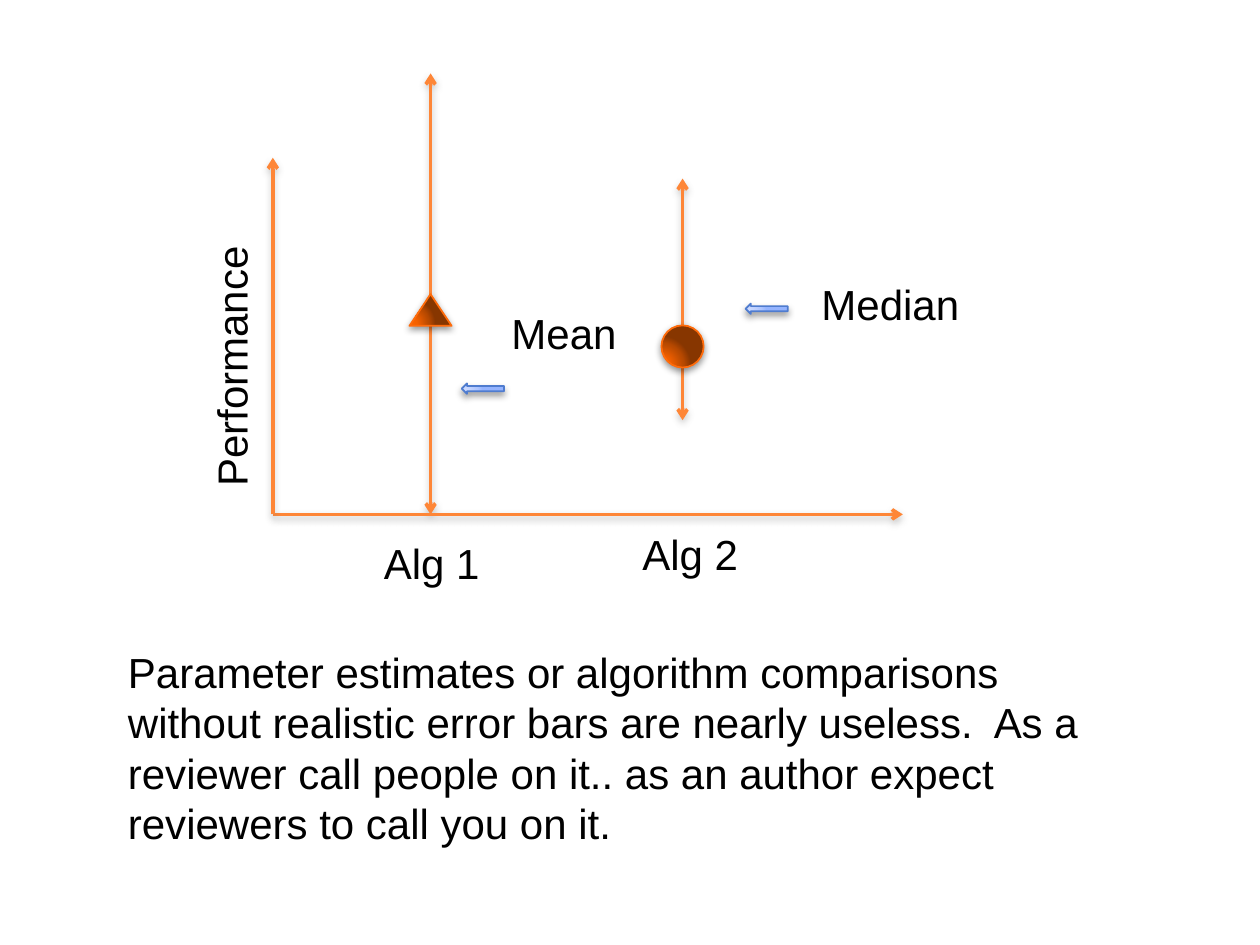
from dataclasses import dataclass

from lxml.etree import SubElement
from pptx import Presentation
from pptx.dml.color import RGBColor
from pptx.enum.shapes import MSO_CONNECTOR, MSO_SHAPE
from pptx.enum.text import MSO_AUTO_SIZE
from pptx.oxml.ns import qn
from pptx.util import Cm, Pt


@dataclass(frozen=True)
class Theme:
    font: str = "Arial"
    text_size: int = 24
    text: str = "000000"
    axis: str = "FE8637"
    axis_width: float = 2
    outline_width: float = 1
    marker_line: str = "FF6B0A"
    marker_fill: tuple = ("FD6400", "F46100", "B74900", "873600")
    pointer_line: str = "4F7CCF"
    pointer_fill: tuple = ("CFDCFF", "CBD9FF", "AFC6FF", "95B4FF")
    gradient_stops: tuple = (0, 30, 75, 100)
    # Shadows: colour, opacity in percent, blur and distance in points
    soft_shadow: tuple = ("808080", 40, 4, 2)
    pointer_shadow: tuple = ("000000", 40, 4, 2)
    marker_shadow: tuple = ("000000", 42, 4, 1.6)


THEME = Theme()


def add_child(parent, tag, **attributes):
    return SubElement(parent, qn(tag), {name: str(value) for name, value in attributes.items()})


def set_shadow(shape, shadow):
    """Cast a blurred shadow straight down."""
    color, opacity, blur, distance = shadow
    effects = add_child(shape._element.spPr, "a:effectLst")
    outer = add_child(effects, "a:outerShdw", blurRad=int(Pt(blur)), dist=int(Pt(distance)),
                      dir=5400000, rotWithShape=0)
    shadow_color = add_child(outer, "a:srgbClr", val=color)
    add_child(shadow_color, "a:alpha", val=opacity * 1000)


def set_radial_fill(shape, colors):
    """Fill the shape with a circular gradient centred near its lower left."""
    shape.fill.background()
    plain = shape._element.spPr.find(qn("a:noFill"))
    gradient = plain.makeelement(qn("a:gradFill"), {"rotWithShape": "1"})
    plain.getparent().replace(plain, gradient)
    stops = add_child(gradient, "a:gsLst")
    for position, color in zip(THEME.gradient_stops, colors):
        stop = add_child(stops, "a:gs", pos=position * 1000)
        add_child(stop, "a:srgbClr", val=color)
    path = add_child(gradient, "a:path", path="circle")
    add_child(path, "a:fillToRect", l=5000, t=100000, r=120000, b=10000)


def add_arrow(slide, start, end, both_ends=False):
    connector = slide.shapes.add_connector(
        MSO_CONNECTOR.STRAIGHT, *(Cm(value) for value in start + end))
    connector.line.color.rgb = RGBColor.from_string(THEME.axis)
    connector.line.width = Pt(THEME.axis_width)
    line = connector.line._get_or_add_ln()
    if both_ends:
        add_child(line, "a:headEnd", type="arrow")
    add_child(line, "a:tailEnd", type="arrow")
    set_shadow(connector, THEME.soft_shadow)


def add_gradient_shape(slide, kind, box, colors, outline, shadow):
    shape = slide.shapes.add_shape(kind, *(Cm(value) for value in box))
    set_radial_fill(shape, colors)
    shape.line.color.rgb = RGBColor.from_string(outline)
    shape.line.width = Pt(THEME.outline_width)
    set_shadow(shape, shadow)


def add_marker(slide, kind, box):
    add_gradient_shape(slide, kind, box, THEME.marker_fill, THEME.marker_line,
                       THEME.marker_shadow)


def add_pointer(slide, left, top):
    add_gradient_shape(slide, MSO_SHAPE.LEFT_ARROW, (left, top, 0.85, 0.21),
                       THEME.pointer_fill, THEME.pointer_line, THEME.pointer_shadow)


def add_text(slide, text, box, wrap=False, rotation=0):
    shape = slide.shapes.add_textbox(*(Cm(value) for value in box))
    shape.rotation = rotation
    shape.text_frame.word_wrap = wrap
    shape.text_frame.auto_size = MSO_AUTO_SIZE.SHAPE_TO_FIT_TEXT
    paragraph = shape.text_frame.paragraphs[0]
    paragraph.text = text
    paragraph.font.name = THEME.font
    paragraph.font.size = Pt(THEME.text_size)
    paragraph.font.color.rgb = RGBColor.from_string(THEME.text)


def main():
    presentation = Presentation()
    presentation.slide_width, presentation.slide_height = Cm(25.4), Cm(19.05)
    slide = presentation.slides.add_slide(presentation.slide_layouts[6])

    # Error bars
    origin = (5.5, 10.37)
    first_x, second_x = 8.68, 13.76
    add_arrow(slide, (first_x, 1.48), (first_x, origin[1]), both_ends=True)
    add_arrow(slide, (second_x, 3.6), (second_x, 8.47), both_ends=True)

    # Conclusion
    add_text(slide, "Parameter estimates or algorithm comparisons without realistic error bars "
             "are nearly useless.  As a reviewer call people on it.. as an author expect "
             "reviewers to call you on it.", (2.33, 12.91, 20.52, 4.37), wrap=True)

    # Axes
    add_arrow(slide, origin, (18.2, origin[1]))
    add_arrow(slide, origin, (origin[0], 3.18))

    # Markers centred on the error bars
    size = 0.85
    add_marker(slide, MSO_SHAPE.ISOSCELES_TRIANGLE, (first_x - size / 2, 5.93, size, 0.64))
    add_marker(slide, MSO_SHAPE.OVAL, (second_x - size / 2, 6.56, size, size))

    # Pointers and labels
    add_text(slide, "Performance", (1.96, 6.71, 5.41, 1.29), rotation=270)
    add_pointer(slide, 15.03, 6.12)
    add_pointer(slide, 9.31, 7.73)
    for label, box in (
        ("Median", (16.31, 5.49, 3.33, 1.29)),
        ("Mean", (10.06, 6.07, 2.67, 1.27)),
        ("Alg 1", (7.49, 10.72, 2.46, 1.27)),
        ("Alg 2", (12.7, 10.52, 2.46, 1.27)),
    ):
        add_text(slide, label, box)

    presentation.save("out.pptx")


if __name__ == "__main__":
    main()
